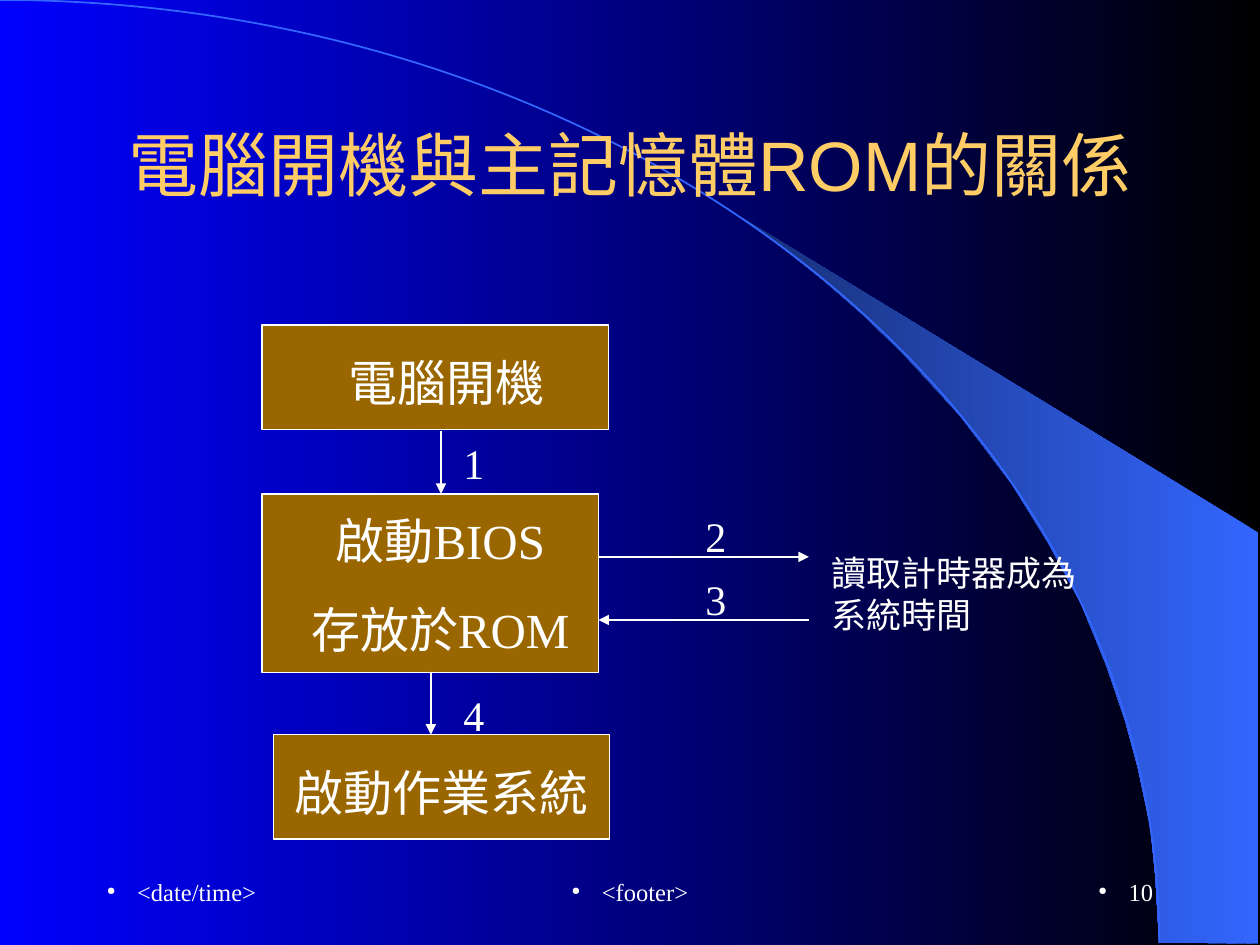
from dataclasses import dataclass

from lxml import etree
from pptx import Presentation
from pptx import util as u
from pptx.dml.color import RGBColor
from pptx.enum import shapes, text
from pptx.oxml import ns

Inches = u.Inches


@dataclass(frozen=True)
class Theme:
    white: str = "FFFFFF"
    title: str = "FFCC66"
    box: str = "996600"
    accent: str = "3366FF"
    accent_dark: str = "172F75"
    back_start: str = "000000"
    back_end: str = "0000FF"
    sans: str = "Arial"
    serif: str = "Times New Roman"
    title_size: int = 40
    step_size: int = 28
    number_size: int = 24
    note_size: int = 20
    footer_size: int = 14
    line_width: float = 0.75


THEME = Theme()
CENTER = text.PP_ALIGN.CENTER
LEFT = text.PP_ALIGN.LEFT
RIGHT = text.PP_ALIGN.RIGHT


def color(value):
    return RGBColor.from_string(value)


def add_element(parent, tag, **attributes):
    return etree.SubElement(parent, ns.qn(tag), attributes)


def set_gradient(fill, first, last):
    fill.gradient()
    fill.gradient_angle = 180
    for stop, value in zip(fill.gradient_stops, (first, last)):
        stop.color.rgb = color(value)
    fill.gradient_stops[0].position = 0
    fill.gradient_stops[1].position = 1


def set_line(line, value=THEME.white, width=THEME.line_width):
    line.color.rgb = color(value)
    line.width = u.Pt(width)


def add_text(slide, box, paragraphs, size, align=LEFT, ink=THEME.white, before=0, middle=False):
    """Each paragraph is a list of (wording, font name) runs."""
    shape = slide.shapes.add_textbox(*map(Inches, box))
    frame = shape.text_frame
    frame.word_wrap = True
    if middle:
        frame.vertical_anchor = text.MSO_ANCHOR.MIDDLE
    else:
        frame.auto_size = text.MSO_AUTO_SIZE.SHAPE_TO_FIT_TEXT
    for index, runs in enumerate(paragraphs):
        paragraph = frame.add_paragraph() if index else frame.paragraphs[0]
        paragraph.alignment = align
        if before:
            paragraph.space_before = u.Pt(before)
        for wording, font_name in runs:
            run = paragraph.add_run()
            run.text = wording
            run.font.name = font_name
            run.font.size = u.Pt(size)
            run.font.color.rgb = color(ink)
    return shape


def add_box(slide, box):
    shape = slide.shapes.add_shape(shapes.MSO_SHAPE.RECTANGLE, *map(Inches, box))
    shape.shadow.inherit = False
    shape.fill.solid()
    shape.fill.fore_color.rgb = color(THEME.box)
    set_line(shape.line)


def add_arrow(slide, start, end):
    arrow = slide.shapes.add_connector(
        shapes.MSO_CONNECTOR.STRAIGHT, *map(Inches, (*start, *end)))
    set_line(arrow.line)
    add_element(arrow.line._get_or_add_ln(), "a:tailEnd", type="triangle")
    add_element(arrow._element.spPr, "a:effectLst")


def add_bullet(paragraph):
    properties = paragraph._p.get_or_add_pPr()
    properties.set("marL", str(Inches(0.24)))
    properties.set("indent", str(Inches(-0.24)))
    add_element(add_element(properties, "a:buClr"), "a:srgbClr", val=THEME.white)
    add_element(properties, "a:buSzPct", val="45000")
    add_element(properties, "a:buChar", char="●")


def draw_background(slide, box):
    left, top, width, height = box
    set_gradient(slide.background.fill, THEME.back_start, THEME.back_end)

    # Lit wedge outside the curve
    outline = [(9.2, 7.48), (9.99, 7.49), (9.99, 4.23), (5.89, 1.73), (6.24, 1.99),
               (6.53, 2.22), (6.85, 2.5), (7.16, 2.8), (7.62, 3.3), (8.03, 3.84),
               (8.32, 4.31), (8.58, 4.79), (8.78, 5.28), (8.93, 5.72), (9.03, 6.09),
               (9.13, 6.56), (9.17, 6.96)]
    points = [(Inches(left + x), Inches(top + y)) for x, y in outline]
    builder = slide.shapes.build_freeform(*points[0])
    builder.add_line_segments(points[1:], close=True)
    wedge = builder.convert_to_shape()
    wedge.shadow.inherit = False
    set_gradient(wedge.fill, THEME.accent, THEME.accent_dark)
    wedge.line.fill.background()

    # Quarter ellipse centred on the bottom left corner
    radius = 0.92 * width
    arc = slide.shapes.add_shape(
        shapes.MSO_SHAPE.ARC, Inches(left - radius), Inches(top),
        Inches(2 * radius), Inches(2 * height - 0.03))
    arc.shadow.inherit = False
    arc.fill.background()
    set_line(arc.line, THEME.accent, 1)


def draw_title(slide, box):
    add_text(slide, box, [[("電腦開機與主記憶體ROM的關係", THEME.sans)]],
             THEME.title_size, CENTER, THEME.title, middle=True)


def draw_flow(slide, box):
    left, top = box[:2]

    def place(x, y, *size):
        return (left + x, top + y, *size)

    # Steps: box, text box, alignment, paragraphs
    steps = [
        ((0, 0, 2.75, 0.83), (0.59, 0.17, 2.08, 0.57), LEFT,
         [[("電腦開機", THEME.sans)]]),
        ((0, 1.34, 2.67, 1.42), (0, 1.42, 2.83, 1.28), CENTER,
         [[("啟動", THEME.sans), ("BIOS", THEME.serif)],
          [("存放於", THEME.sans), ("ROM", THEME.serif)]]),
        ((0.09, 3.25, 2.67, 0.83), (0.09, 3.42, 2.67, 0.57), CENTER,
         [[("啟動作業系統", THEME.sans)]]),
    ]
    for step_box, label_box, align, paragraphs in steps:
        add_box(slide, place(*step_box))
        add_text(slide, place(*label_box), paragraphs, THEME.step_size, align, before=17.5)

    # Note on the system clock
    add_text(slide, place(4.42, 1.75, 2.17, 0.77),
             [[("讀取計時器成為系統時間", THEME.sans)]], THEME.note_size, before=12.5)

    # Numbered arrows: start, end, corner of the number
    arrows = [
        ((1.42, 0.84), (1.42, 1.34), (1.5, 0.84)),
        ((2.67, 1.84), (4.34, 1.84), (3.42, 1.42)),
        ((4.34, 2.34), (2.67, 2.34), (3.42, 1.92)),
        ((1.34, 2.75), (1.34, 3.25), (1.5, 2.84)),
    ]
    for number, (start, end, corner) in enumerate(arrows, 1):
        add_arrow(slide, place(*start), place(*end))
        add_text(slide, place(*corner, 0.33, 0.5), [[(str(number), THEME.serif)]],
                 THEME.number_size, before=15)


def draw_footer(slide, box):
    left, top, width, height = box
    side, middle = 2.08, 3.17
    fields = [
        ("<date/time>", 0, side, LEFT),
        ("<footer>", (width - middle) / 2, middle, CENTER),
        ("10", width - side, side, RIGHT),
    ]
    for wording, x, field_width, align in fields:
        shape = add_text(slide, (left + x, top, field_width, height),
                         [[(wording, THEME.serif)]], THEME.footer_size, align, middle=True)
        add_bullet(shape.text_frame.paragraphs[0])


def main():
    presentation = Presentation()
    presentation.slide_width = Inches(10)
    presentation.slide_height = Inches(7.5)
    slide = presentation.slides.add_slide(presentation.slide_layouts[6])
    draw_background(slide, (0, 0, 10, 7.5))
    draw_footer(slide, (0.75, 6.83, 8.5, 0.5))
    draw_title(slide, (0.75, 0.67, 8.5, 1.25))
    draw_flow(slide, (2.08, 2.58, 6.59, 4.08))
    presentation.save("out.pptx")


if __name__ == "__main__":
    main()
